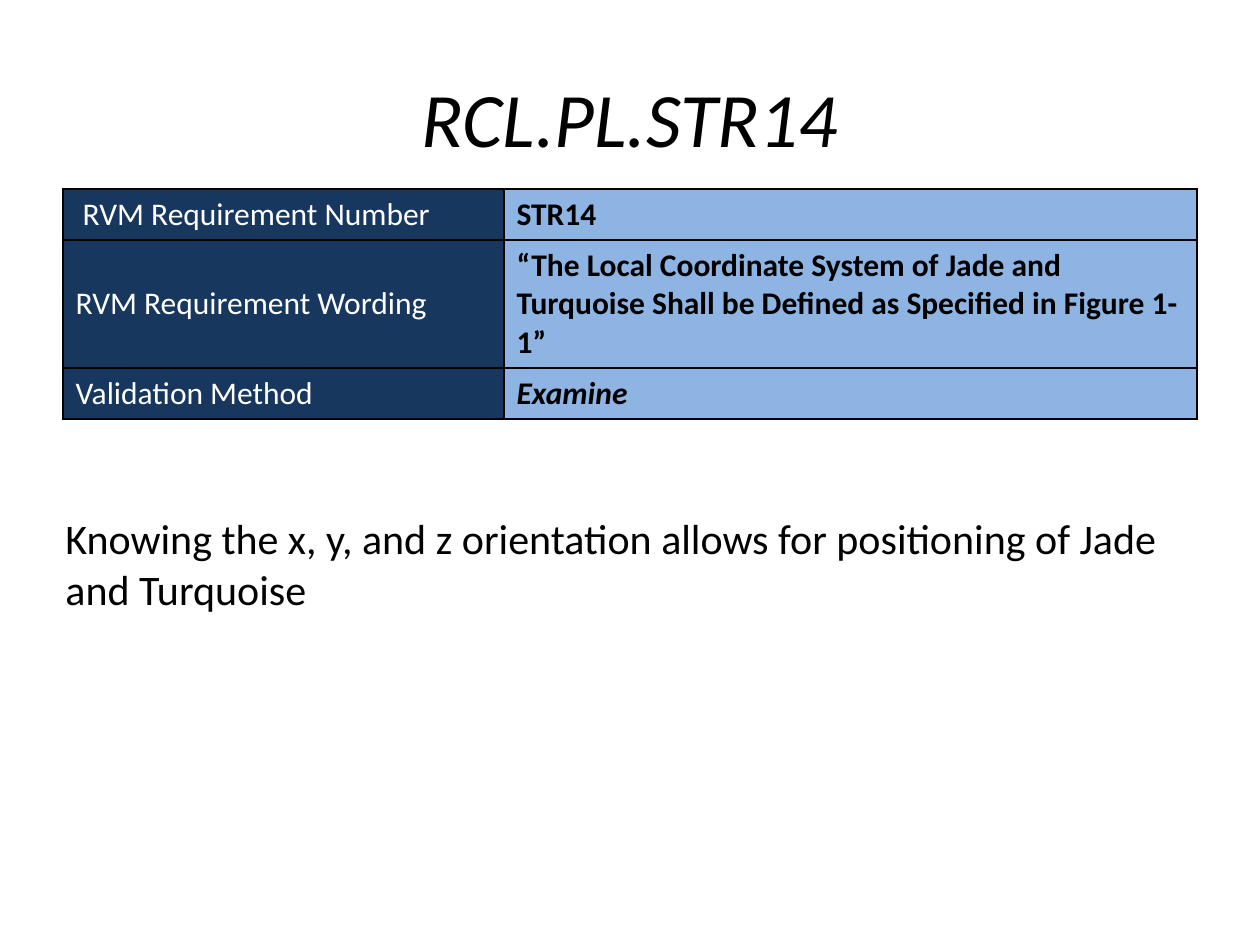
from lxml.etree import SubElement
from pptx import Presentation
from pptx.dml.color import RGBColor as RGB
from pptx.enum.text import MSO_ANCHOR as Anchor, PP_ALIGN as Align
from pptx.oxml.ns import qn
from pptx.util import Cm, Pt

# Content
TITLE = "RCL.PL.STR14"
REQUIREMENTS = [  # label, value, format of the value
    (" RVM Requirement Number", "STR14", {}),
    ("RVM Requirement Wording",
     "“The Local Coordinate System of Jade and Turquoise Shall be "
     "Defined as Specified in Figure 1-1”", {}),
    ("Validation Method", "Examine", {"italic": True}),
]
RATIONALE = ("Knowing the x, y, and z orientation allows for positioning "
             "of Jade and Turquoise")

COLORS = {"ink": "000000", "label_text": "FFFFFF",
          "label_fill": "17375E", "value_fill": "8EB4E3"}
FONT = "Calibri"
COLUMN_WIDTHS = (Cm(8.89), Cm(13.97))
ROW_HEIGHT = Cm(1.03)
MARGIN = Cm(1.27)


def write(frame, text, color, **formats):
    frame.text = text
    font = frame.paragraphs[0].runs[0].font
    for name, value in {"name": FONT, **formats}.items():
        setattr(font, name, value)
    font.color.rgb = RGB.from_string(COLORS[color])


def add_borders(cell):
    properties = cell._tc.get_or_add_tcPr()
    for index, side in enumerate(("lnL", "lnR", "lnT", "lnB")):
        border = SubElement(properties, qn(f"a:{side}"), w=str(Pt(1)))
        fill = SubElement(border, qn("a:solidFill"))
        SubElement(fill, qn("a:srgbClr"), val=COLORS["ink"])
        properties.insert(index, border)  # borders come before the fill


def fill_cell(cell, text, color, fill, anchor, **formats):
    write(cell.text_frame, text, color, size=Pt(18), **formats)
    cell.vertical_anchor = anchor
    cell.fill.solid()
    cell.fill.fore_color.rgb = RGB.from_string(COLORS[fill])
    add_borders(cell)


def main():
    deck = Presentation()
    deck.slide_width, deck.slide_height = Cm(25.4), Cm(19.05)
    slide = deck.slides.add_slide(deck.slide_layouts[5])
    content_width = sum(COLUMN_WIDTHS)

    # Title
    title = slide.shapes.title
    title.left, title.top = MARGIN, Cm(0.76)
    title.width, title.height = content_width, Cm(3.18)
    write(title.text_frame, TITLE, "ink", size=Pt(44), italic=True)
    title.text_frame.vertical_anchor = Anchor.MIDDLE
    title.text_frame.paragraphs[0].alignment = Align.CENTER

    # Requirement table
    table = slide.shapes.add_table(
        len(REQUIREMENTS), len(COLUMN_WIDTHS), MARGIN, Cm(3.81),
        content_width, ROW_HEIGHT * len(REQUIREMENTS)).table
    for column, width in zip(table.columns, COLUMN_WIDTHS):
        column.width = width
    for row, (label, value, formats) in zip(table.rows, REQUIREMENTS):
        row.height = ROW_HEIGHT
        label_cell, value_cell = row.cells
        fill_cell(label_cell, label, "label_text", "label_fill",
                  Anchor.MIDDLE, bold=False)
        fill_cell(value_cell, value, "ink", "value_fill",
                  Anchor.TOP, bold=True, **formats)

    # Rationale
    rationale = slide.shapes.add_textbox(
        Cm(1.07), Cm(10.21), Cm(23.06), Cm(2.31)).text_frame
    rationale.word_wrap = True
    write(rationale, RATIONALE, "ink", size=Pt(24))

    deck.save("out.pptx")


if __name__ == "__main__":
    main()
